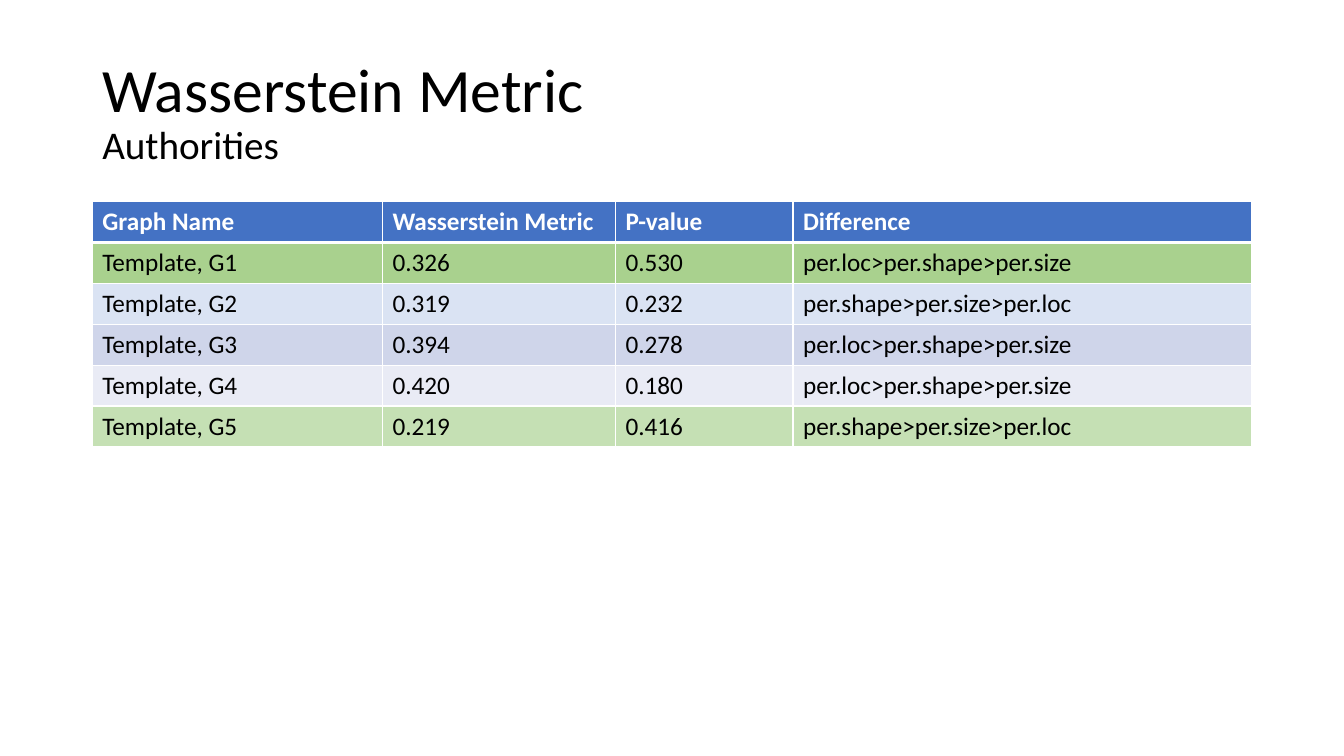
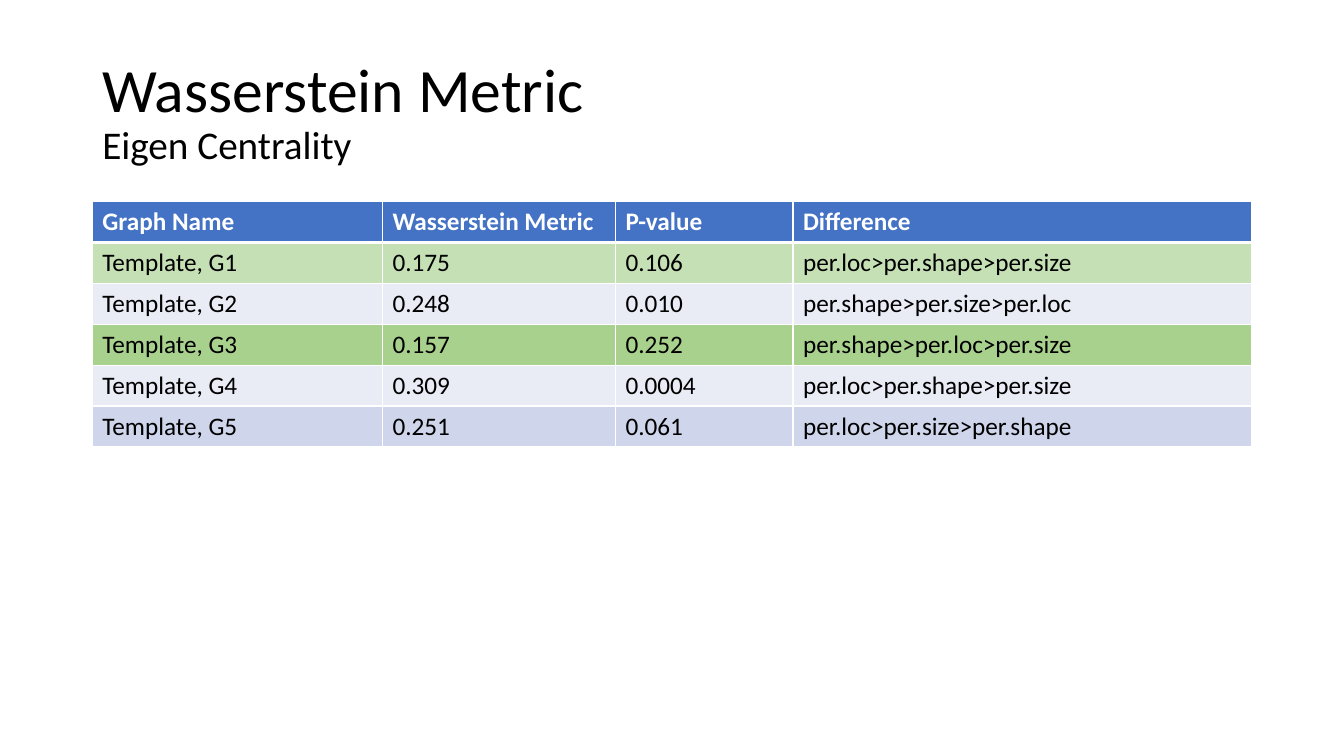
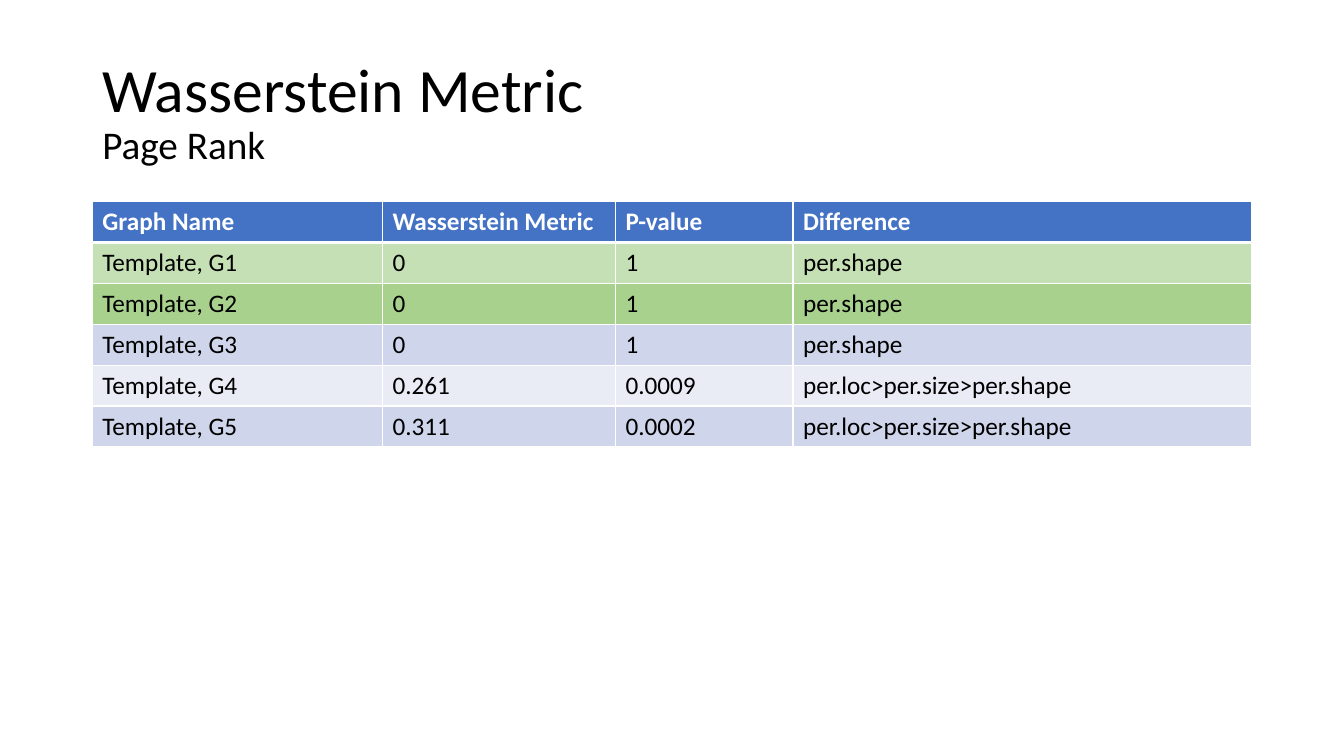
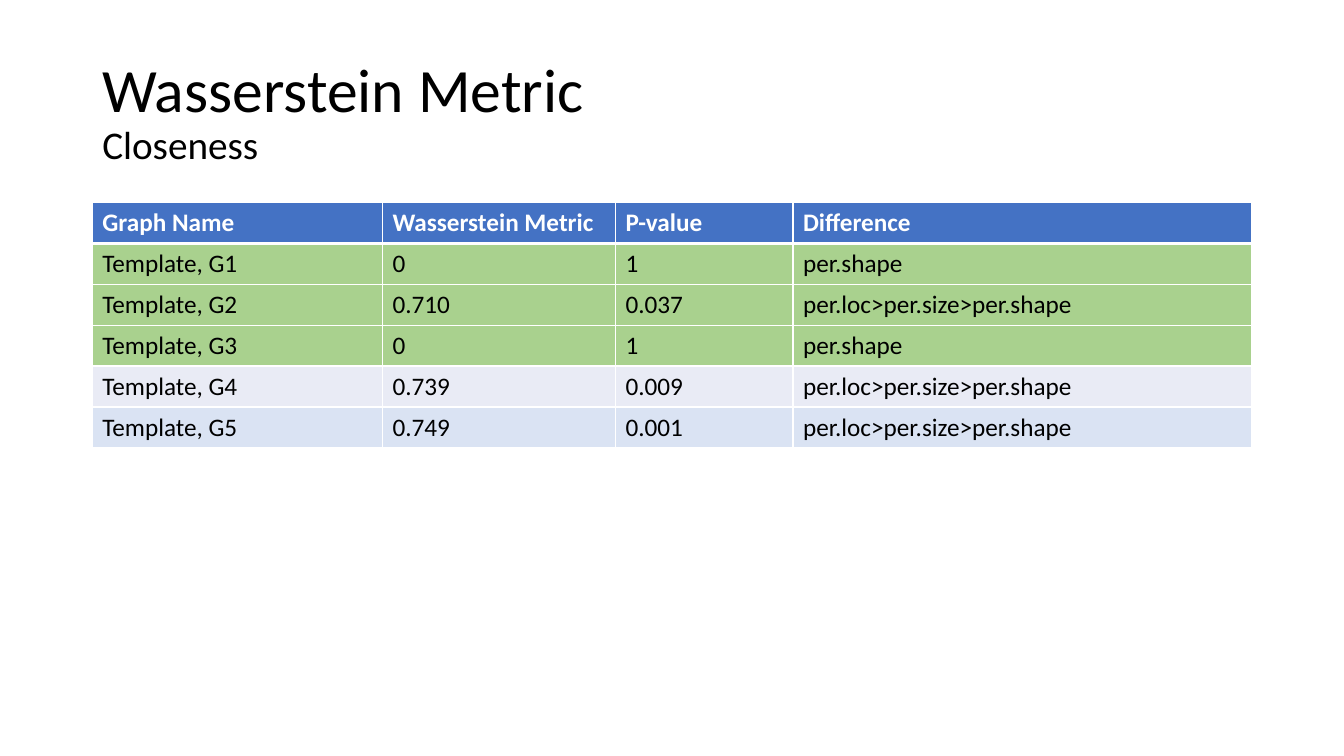
"""Build four slides of Wasserstein metric tables."""
from lxml import etree
from pptx import Presentation
from pptx.dml.color import RGBColor
from pptx.enum import text as t
from pptx.oxml import ns
from pptx.util import Pt

FONT = "Calibri"
BLACK = RGBColor(0x00, 0x00, 0x00)
WHITE = RGBColor(0xFF, 0xFF, 0xFF)
BLUE = RGBColor(0x44, 0x72, 0xC4)
GREEN = RGBColor(0xA9, 0xD1, 0x8E)
MINT = RGBColor(0xC5, 0xE0, 0xB4)
SKY = RGBColor(0xDA, 0xE3, 0xF3)
BAND = RGBColor(0xCF, 0xD5, 0xEA)
PALE = RGBColor(0xE9, 0xEB, 0xF5)

LEFT, WIDTH, ROW = 66, 828, 29.2
COLS = (207.2, 166.5, 126.8, 327.5)
TITLE = "Wasserstein Metric"
HEAD = ("Graph Name", TITLE, "P-value", "Difference")

LOC_SHAPE = "per.loc>per.shape>per.size"
LOC_SIZE = "per.loc>per.size>per.shape"
SHAPE_SIZE = "per.shape>per.size>per.loc"
SHAPE_LOC = "per.shape>per.loc>per.size"
SHAPE = "per.shape"

SLIDES = (
    ("Authorities", 144, (
        (GREEN, "0.326", "0.530", LOC_SHAPE),
        (SKY, "0.319", "0.232", SHAPE_SIZE),
        (BAND, "0.394", "0.278", LOC_SHAPE),
        (PALE, "0.420", "0.180", LOC_SHAPE),
        (MINT, "0.219", "0.416", SHAPE_SIZE))),
    ("Eigen Centrality", 144, (
        (MINT, "0.175", "0.106", LOC_SHAPE),
        (PALE, "0.248", "0.010", SHAPE_SIZE),
        (GREEN, "0.157", "0.252", SHAPE_LOC),
        (PALE, "0.309", "0.0004", LOC_SHAPE),
        (BAND, "0.251", "0.061", LOC_SIZE))),
    ("Page Rank", 144, (
        (MINT, "0", "1", SHAPE),
        (GREEN, "0", "1", SHAPE),
        (BAND, "0", "1", SHAPE),
        (PALE, "0.261", "0.0009", LOC_SIZE),
        (BAND, "0.311", "0.0002", LOC_SIZE))),
    ("Closeness", 144.7, (
        (GREEN, "0", "1", SHAPE),
        (GREEN, "0.710", "0.037", LOC_SIZE),
        (GREEN, "0", "1", SHAPE),
        (PALE, "0.739", "0.009", LOC_SIZE),
        (SKY, "0.749", "0.001", LOC_SIZE))),
)


def write(para, words, size=18, color=BLACK, bold=False):
    """Add a formatted run to a paragraph."""
    run = para.add_run()
    run.text = words
    font = run.font
    font.name, font.size, font.bold = FONT, Pt(size), bold
    font.color.rgb = color


def add_title(slide, topic):
    """Add the shared heading with its topic on a second line."""
    box = slide.shapes.add_textbox(Pt(LEFT), Pt(28.8), Pt(WIDTH), Pt(104.4))
    frame = box.text_frame
    frame.word_wrap = True
    frame.vertical_anchor = t.MSO_ANCHOR.MIDDLE
    para = frame.paragraphs[0]
    para.line_spacing = 0.9
    write(para, TITLE, size=44)
    para.add_line_break()
    write(para, topic, size=28)


def edge(cell, side, width):
    """Draw one white cell border."""
    props = cell._tc.get_or_add_tcPr()
    line = etree.SubElement(props, ns.qn(f"a:ln{side}"), w=str(Pt(width)))
    fill = etree.SubElement(line, ns.qn("a:solidFill"))
    etree.SubElement(fill, ns.qn("a:srgbClr"), val=str(WHITE))


def fill_row(cells, words, fill, top=1, base=1, **style):
    """Fill, border and write the cells of one row."""
    for cell, word in zip(cells, words):
        for side, width in (("L", 1), ("R", 1), ("T", top), ("B", base)):
            edge(cell, side, width)
        cell.fill.solid()
        cell.fill.fore_color.rgb = fill
        write(cell.text_frame.paragraphs[0], word, **style)


def add_grid(slide, top, rows):
    """Add the table of graphs below its header row."""
    count = len(rows) + 1
    grid = slide.shapes.add_table(count, len(COLS), Pt(LEFT), Pt(top),
                                  Pt(WIDTH), Pt(ROW * count)).table
    grid.horz_banding = False
    for col, width in zip(grid.columns, COLS):
        col.width = Pt(width)
    for row in grid.rows:
        row.height = Pt(ROW)
    fill_row(grid.rows[0].cells, HEAD, BLUE, base=3, color=WHITE, bold=True)
    for num, (fill, *words) in enumerate(rows, 1):
        fill_row(grid.rows[num].cells, (f"Template, G{num}", *words), fill,
                 top=3 if num == 1 else 1)


def main():
    """Build and save the slides."""
    deck = Presentation()
    deck.slide_width, deck.slide_height = Pt(960), Pt(540)
    for topic, top, rows in SLIDES:
        slide = deck.slides.add_slide(deck.slide_layouts[6])
        add_title(slide, topic)
        add_grid(slide, top, rows)
    deck.save("out.pptx")


if __name__ == "__main__":
    main()
